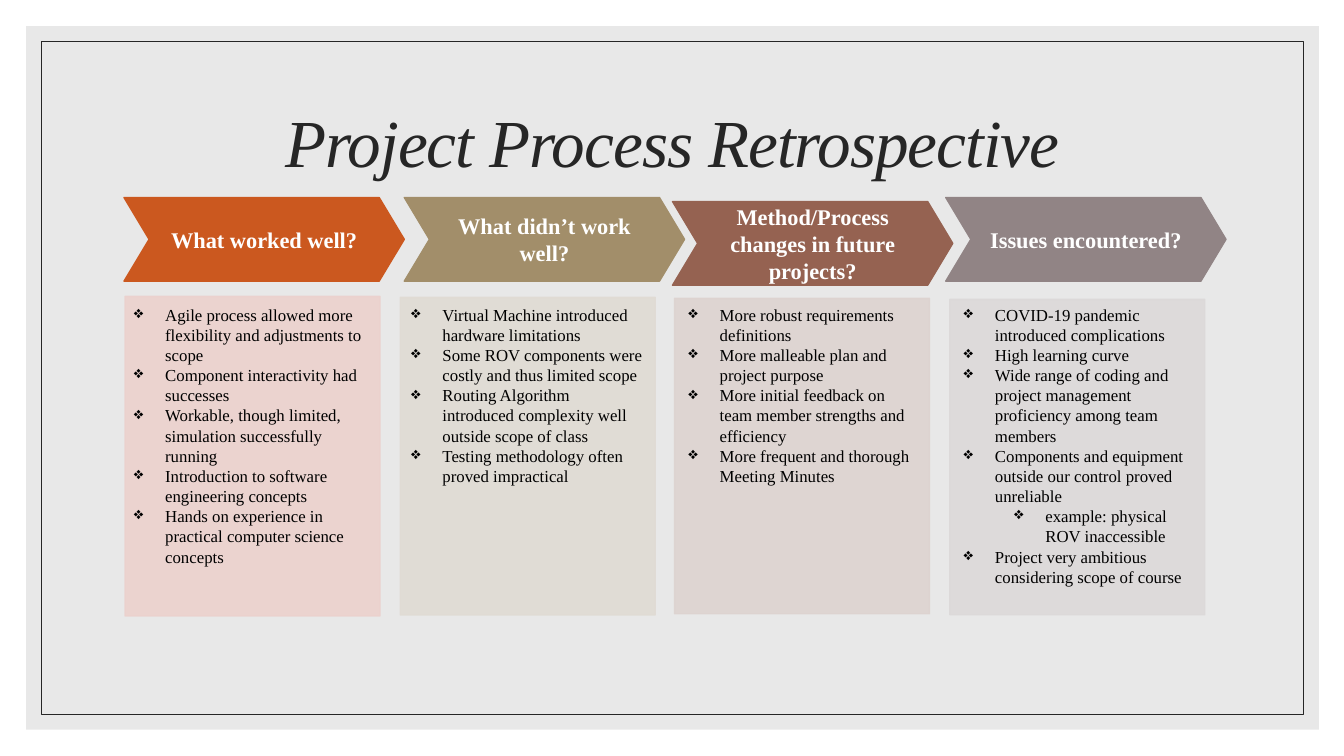
"""Build the project process retrospective slide."""
from dataclasses import dataclass

from lxml import etree
from pptx import Presentation
from pptx import util as u
from pptx.dml.color import RGBColor
from pptx.enum import shapes, text
from pptx.oxml import ns

FONT = "Times New Roman"
COLORS = {
    "white": "FFFFFF", "black": "000000", "ink": "262626", "mat": "D9D9D9",
    "orange": "CB581F", "pink": "ECD1CD",
    "tan": "A28E6A", "sand": "E0DBD4",
    "brown": "956251", "rose": "DDD3D0",
    "mauve": "918485", "ash": "DCD9D9",
}


@dataclass(frozen=True)
class Box:
    left: float
    top: float
    width: float
    height: float

    def lengths(self) -> list[u.Length]:
        return [u.Inches(v) for v in (self.left, self.top, self.width, self.height)]


@dataclass(frozen=True)
class Bullet:
    words: str
    level: int = 0


@dataclass(frozen=True)
class Column:
    heading: str
    dark: str
    light: str
    arrow: tuple[float, float]
    panel: Box
    body: Box
    bullets: list[Bullet]


COLUMNS = [
    Column("What worked well?", "orange", "pink", (1.23, 1.96),
           Box(1.24, 2.94, 2.53, 3.17), Box(1.23, 2.97, 2.52, 2.73), [
               Bullet("Agile process allowed more flexibility and adjustments to scope"),
               Bullet("Component interactivity had successes"),
               Bullet("Workable, though limited, simulation successfully running"),
               Bullet("Introduction to software engineering concepts"),
               Bullet("Hands on experience in practical computer science concepts")]),
    Column("What didn’t work well?", "tan", "sand", (4.01, 1.96),
           Box(3.97, 2.95, 2.53, 3.15), Box(3.98, 2.97, 2.49, 1.92), [
               Bullet("Virtual Machine introduced hardware limitations"),
               Bullet("Some ROV components were costly and thus limited scope"),
               Bullet("Routing Algorithm introduced complexity well outside scope of class"),
               Bullet("Testing methodology often proved impractical")]),
    Column("Method/Process changes in future projects?", "brown", "rose", (6.67, 2),
           Box(6.69, 2.96, 2.53, 3.13), Box(6.73, 2.97, 2.49, 1.92), [
               Bullet("More robust requirements definitions"),
               Bullet("More malleable plan and project purpose"),
               Bullet("More initial feedback on team member strengths and efficiency"),
               Bullet("More frequent and thorough Meeting Minutes")]),
    Column("Issues encountered?", "mauve", "ash", (9.38, 1.96),
           Box(9.42, 2.97, 2.53, 3.13), Box(9.46, 2.97, 2.49, 2.93), [
               Bullet("COVID-19 pandemic introduced complications"),
               Bullet("High learning curve"),
               Bullet("Wide range of coding and project management proficiency among team members"),
               Bullet("Components and equipment outside our control proved unreliable"),
               Bullet("example: physical ROV inaccessible", 1),
               Bullet("Project very ambitious considering scope of course")]),
]


def rgb(name: str) -> RGBColor:
    return RGBColor.from_string(COLORS[name])


def add_shape(s, kind, box: Box, fill: str | None = None, line: str | None = None,
              weight: float = 1, alpha: int = 100):
    sp = s.shapes.add_shape(kind, *box.lengths())
    sp.shadow.inherit = False
    if fill:
        sp.fill.solid()
        sp.fill.fore_color.rgb = rgb(fill)
    else:
        sp.fill.background()
    if line:
        sp.line.color.rgb = rgb(line)
        sp.line.width = u.Pt(weight)
    else:
        sp.line.fill.background()
    if alpha < 100:
        for clr in sp._element.spPr.iter(ns.qn("a:srgbClr")):
            etree.SubElement(clr, ns.qn("a:alpha"), val=str(alpha * 1000))
    return sp


def add_text(s, box: Box, lines: list[str], size: float, color: str,
             bold: bool = False, italic: bool = False, centred: bool = False):
    tf = s.shapes.add_textbox(*box.lengths()).text_frame
    tf.word_wrap = True
    tf.text = "\n".join(lines)
    if centred:
        tf.vertical_anchor = text.MSO_ANCHOR.MIDDLE
    for p in tf.paragraphs:
        if centred:
            p.alignment = text.PP_ALIGN.CENTER
        for r in p.runs:
            r.font.name = FONT
            r.font.size = u.Pt(size)
            r.font.bold = bold
            r.font.italic = italic
            r.font.color.rgb = rgb(color)
    return tf


def add_bullet(p, level: int) -> None:
    p.level = level
    pPr = p._p.get_or_add_pPr()
    pPr.set("marL", str(u.Inches(0.31 + 0.5 * level)))
    pPr.set("indent", str(u.Inches(-0.31)))
    etree.SubElement(pPr, ns.qn("a:buChar"), char="❖")


def add_column(s, column: Column) -> None:
    left, top = column.arrow
    sp = add_shape(s, shapes.MSO_SHAPE.CHEVRON, Box(left, top, 2.78, 0.83),
                   column.dark, column.dark)
    sp.adjustments[0] = 0.3
    tf = add_text(s, Box(left + 0.25, top, 2.28, 0.83), [column.heading], 16, "white",
                  bold=True, centred=True)
    tf.margin_left = tf.margin_right = tf.margin_top = tf.margin_bottom = u.Inches(0.1)
    add_shape(s, shapes.MSO_SHAPE.RECTANGLE, column.panel, column.light, column.light, alpha=90)
    tf = add_text(s, column.body, [b.words for b in column.bullets], 12, "black")
    tf.auto_size = text.MSO_AUTO_SIZE.SHAPE_TO_FIT_TEXT
    for p, bullet in zip(tf.paragraphs, column.bullets):
        add_bullet(p, bullet.level)


def main() -> None:
    prs = Presentation()
    prs.slide_width, prs.slide_height = u.Inches(13.33), u.Inches(7.5)
    s = prs.slides.add_slide(prs.slide_layouts[6])
    s.background.fill.solid()
    s.background.fill.fore_color.rgb = rgb("white")
    rect = shapes.MSO_SHAPE.RECTANGLE
    add_shape(s, rect, Box(0.26, 0.26, 12.82, 6.98), "mat", alpha=60)
    add_shape(s, rect, Box(0.41, 0.41, 12.52, 6.68), line="ink", weight=0.5)
    tf = add_text(s, Box(1.17, 0.7, 11, 1.5), ["Project Process Retrospective"], 48, "ink",
                  italic=True, centred=True)
    p = tf.paragraphs[0]
    p.line_spacing = 0.9
    p.runs[0].font._element.set("spc", "-70")
    for column in COLUMNS:
        add_column(s, column)
    prs.save("out.pptx")


if __name__ == "__main__":
    main()
